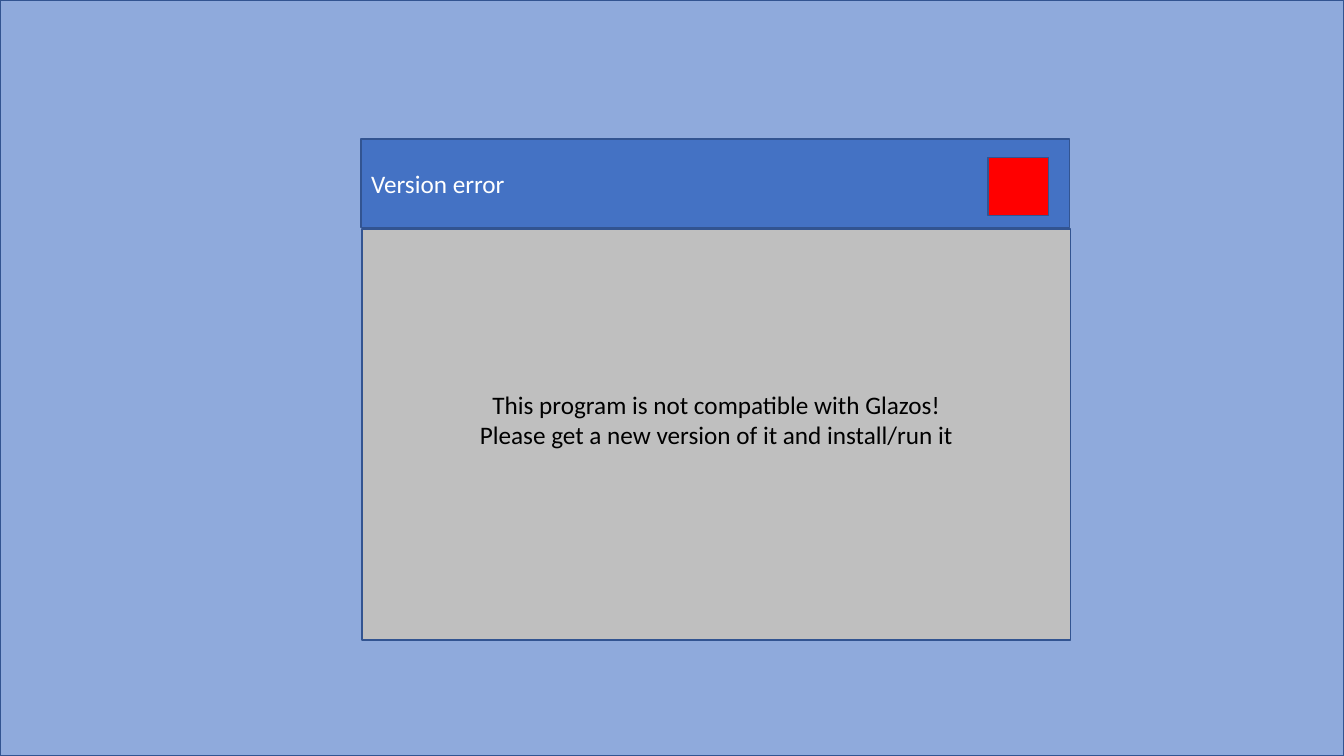
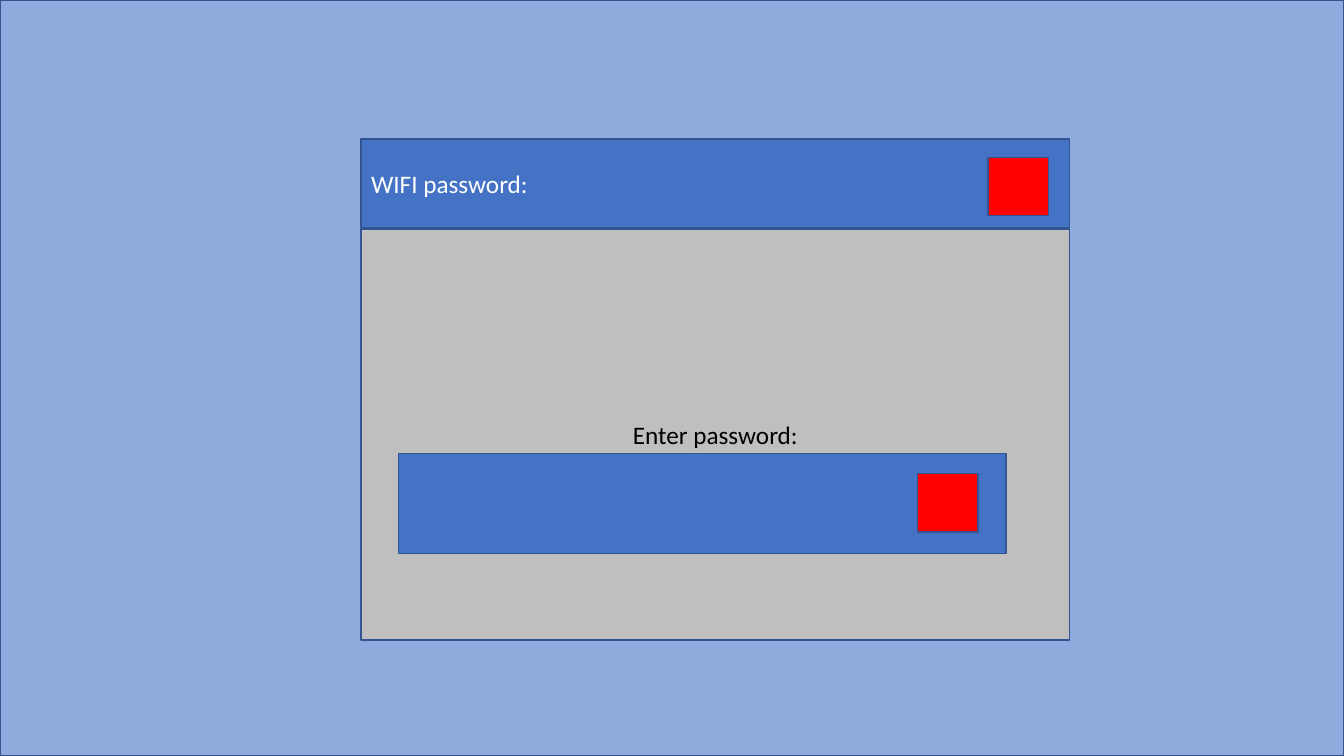
"""Build two mock desktop screens, each with one dialog window."""
from pptx import Presentation
from pptx.dml.color import RGBColor
from pptx.enum import shapes, text
from pptx.util import Inches, Pt

DESKTOP = RGBColor(0x8F, 0xAA, 0xDC)
PANEL = RGBColor(0xBF, 0xBF, 0xBF)
BAR = RGBColor(0x44, 0x72, 0xC4)
OUTLINE = RGBColor(0x32, 0x54, 0x91)
CLOSE = RGBColor(0xFF, 0x00, 0x00)
BLACK = RGBColor(0x00, 0x00, 0x00)
WHITE = RGBColor(0xFF, 0xFF, 0xFF)

FONT = "Calibri"
SLIDE_WIDTH, SLIDE_HEIGHT = 13.33, 7.5
WINDOW_LEFT, WINDOW_WIDTH = 3.58, 7.03
TITLE_TOP, TITLE_HEIGHT = 1.38, 0.88
PANEL_TOP, PANEL_HEIGHT = 2.27, 4.08
TITLE_ONLY_LAYOUT = 5


def paint(shape, fill):
    shape.fill.solid()
    shape.fill.fore_color.rgb = fill
    shape.line.color.rgb = OUTLINE
    shape.line.width = Pt(1)


def add_box(page, left, top, width, height, fill):
    box = page.shapes.add_shape(
        shapes.MSO_SHAPE.RECTANGLE,
        Inches(left), Inches(top), Inches(width), Inches(height))
    box.shadow.inherit = False
    paint(box, fill)
    return box


def write(shape, lines, color, align):
    frame = shape.text_frame
    frame.text = "\n".join(lines)
    frame.word_wrap = True
    frame.auto_size = text.MSO_AUTO_SIZE.NONE
    frame.vertical_anchor = text.MSO_ANCHOR.MIDDLE
    for para in frame.paragraphs:
        para.alignment = align
        for span in para.runs:
            span.font.name = FONT
            span.font.size = Pt(18)
            span.font.color.rgb = color


def add_close_button(page, left, top):
    add_box(page, left, top, 0.6, 0.58, CLOSE)


def add_title_bar(page, caption):
    title = page.shapes.title
    title.left, title.top = Inches(WINDOW_LEFT), Inches(TITLE_TOP)
    title.width, title.height = Inches(WINDOW_WIDTH), Inches(TITLE_HEIGHT)
    paint(title, BAR)
    write(title, [caption], WHITE, text.PP_ALIGN.LEFT)
    title.element.getparent().append(title.element)
    add_close_button(page, 9.8, 1.56)


def add_window(deck, caption, message, panel_left=WINDOW_LEFT, lift=0):
    page = deck.slides.add_slide(deck.slide_layouts[TITLE_ONLY_LAYOUT])
    add_box(page, 0, 0, SLIDE_WIDTH, SLIDE_HEIGHT, DESKTOP)
    panel = add_box(page, panel_left, PANEL_TOP, WINDOW_WIDTH, PANEL_HEIGHT, PANEL)
    write(panel, message, BLACK, text.PP_ALIGN.CENTER)
    panel.text_frame.margin_bottom = Inches(0.05 + lift)
    add_title_bar(page, caption)
    return page


def add_password_field(page):
    add_box(page, 3.95, 4.5, 6.03, 0.99, BAR)
    add_close_button(page, 9.1, 4.7)


def main():
    deck = Presentation()
    deck.slide_width = Inches(SLIDE_WIDTH)
    deck.slide_height = Inches(SLIDE_HEIGHT)
    add_window(
        deck, "Version error",
        ["This program is not compatible with Glazos!",
         "Please get a new version of it and install/run it"],
        panel_left=3.59, lift=0.3)
    add_password_field(add_window(deck, "WIFI password:", ["Enter password:"]))
    deck.save("out.pptx")


if __name__ == "__main__":
    main()
